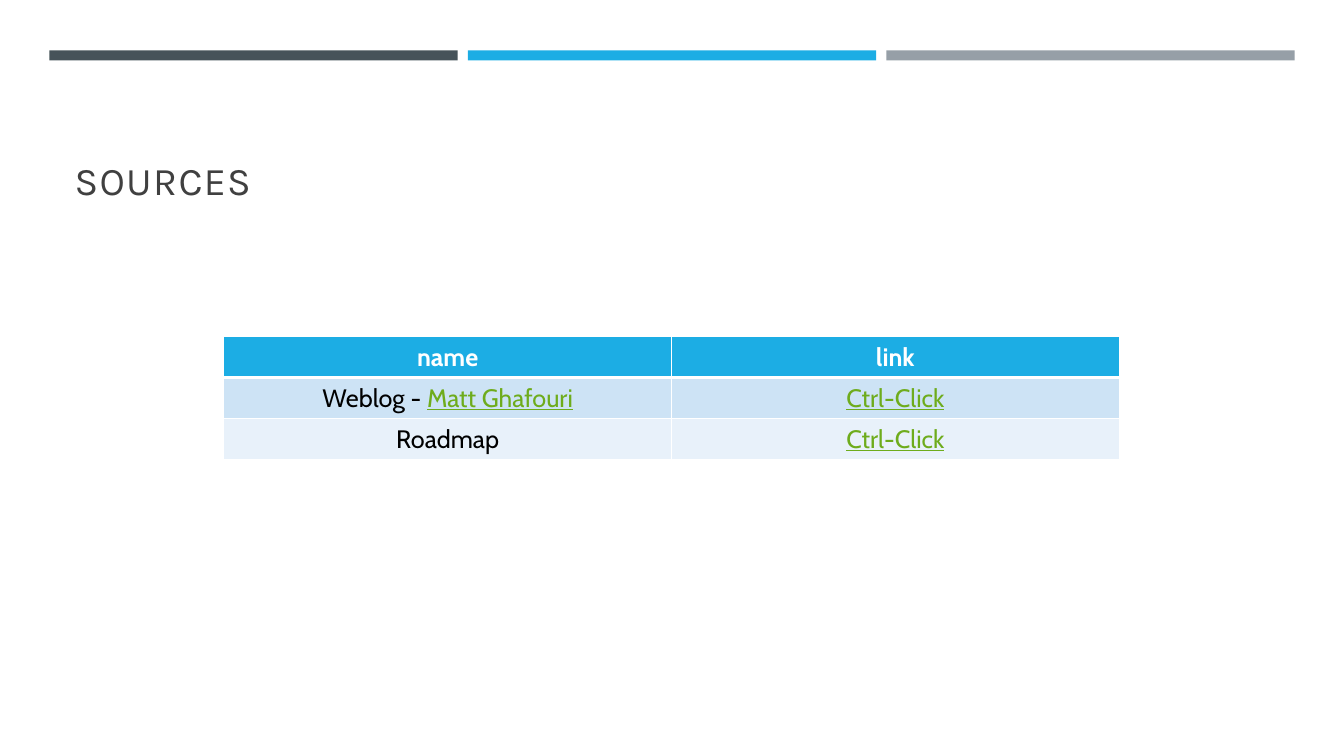
from lxml import etree
from pptx import Presentation
from pptx import util as u
from pptx.dml.color import RGBColor
from pptx.enum import shapes, text
from pptx.oxml.ns import qn


def paint(target, color):
    target.solid()
    target.fore_color.rgb = RGBColor.from_string(color)


def add_border(cell, side, points):
    line = etree.SubElement(cell._tc.get_or_add_tcPr(), qn(f"a:{side}"), w=str(u.Pt(points)))
    fill = etree.SubElement(line, qn("a:solidFill"))
    etree.SubElement(fill, qn("a:srgbClr"), val="FFFFFF")


deck = Presentation()
deck.slide_width = u.Inches(13.33)
deck.slide_height = u.Inches(7.5)
page = deck.slides.add_slide(deck.slide_layouts[5])

for index, color in enumerate(["465359", "1CADE4", "969FA7"]):
    bar = page.shapes.add_shape(
        shapes.MSO_SHAPE.RECTANGLE,
        u.Inches(0.49 + index * 4.15), u.Inches(0.5), u.Inches(4.05), u.Inches(0.1))
    bar.shadow.inherit = False
    paint(bar.fill, color)
    bar.line.fill.background()

title = page.shapes.title
title.left, title.top = u.Inches(0.64), u.Inches(0.77)
title.width, title.height = u.Inches(12.06), u.Inches(1.3)
frame = title.text_frame
frame.text = "SOURCES"
frame.word_wrap = True
frame.auto_size = text.MSO_AUTO_SIZE.NONE
frame.vertical_anchor = text.MSO_ANCHOR.BOTTOM
heading = frame.paragraphs[0]
heading.alignment = text.PP_ALIGN.LEFT
heading.line_spacing = 0.9
heading.font.size = u.Pt(28)
heading.font.name = "Karla"
paint(heading.font.fill, "404040")
heading.runs[0].font._element.set("spc", "100")

WHITE, BLACK, GREEN = "FFFFFF", "000000", "6EAC1C"
rows = [
    ("1CADE4", [[("name", WHITE)], [("link", WHITE)]]),
    ("CDE3F5", [[("Weblog - ", BLACK), ("Matt Ghafouri", GREEN)], [("Ctrl-Click", GREEN)]]),
    ("E8F1FA", [[("Roadmap", BLACK)], [("Ctrl-Click", GREEN)]]),
]
table = page.shapes.add_table(
    len(rows), 2, u.Inches(2.22), u.Inches(3.34), u.Inches(8.88), u.Inches(1.22)).table

for row_index, (background, cells) in enumerate(rows):
    for column_index, spans in enumerate(cells):
        cell = table.cell(row_index, column_index)
        cell.vertical_anchor = text.MSO_ANCHOR.MIDDLE
        for side in ["lnL", "lnR", "lnT", "lnB"]:
            header_edge = (row_index, side) in [(0, "lnB"), (1, "lnT")]
            add_border(cell, side, 3 if header_edge else 1)
        paint(cell.fill, background)
        para = cell.text_frame.paragraphs[0]
        para.alignment = text.PP_ALIGN.CENTER
        para.font.size = u.Pt(18)
        para.font.name = "Cabin"
        para.font.bold = row_index == 0
        for words, color in spans:
            span = para.add_run()
            span.text = words
            span.font.underline = color == GREEN
            paint(span.font.fill, color)

deck.save("out.pptx")
